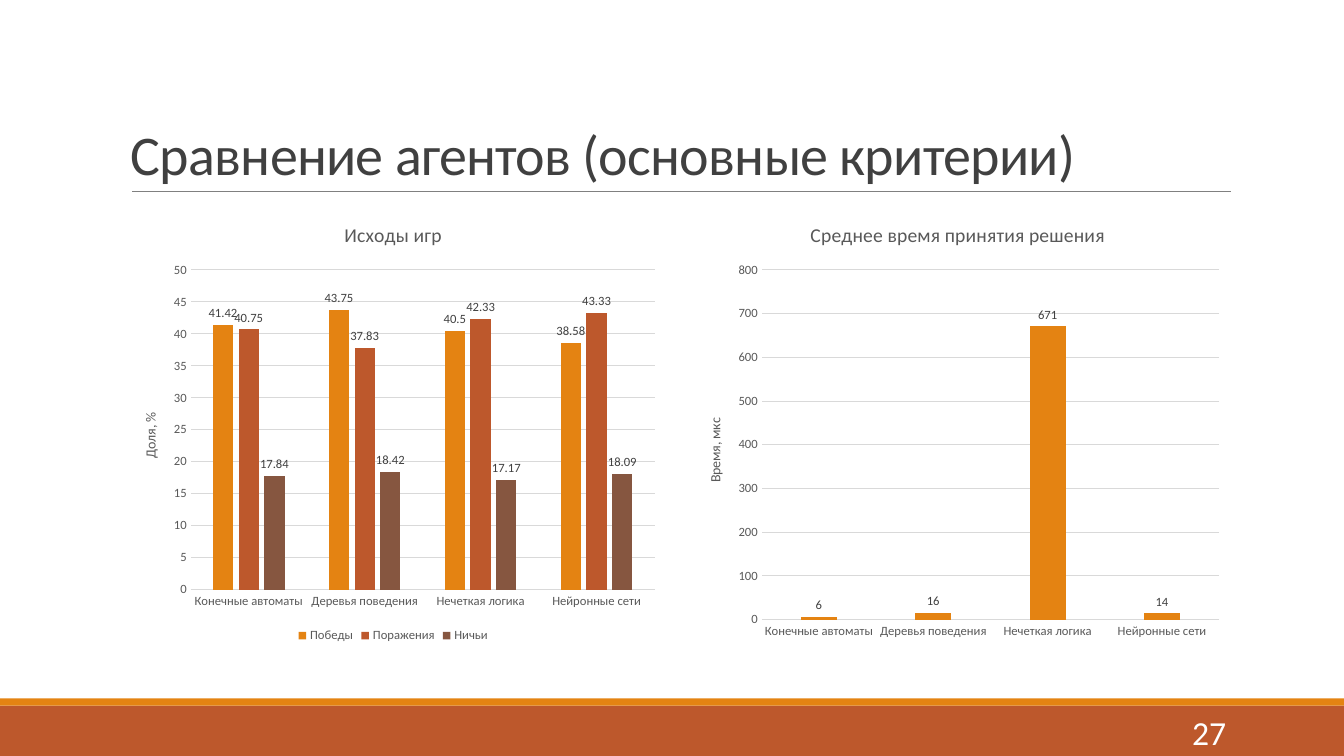
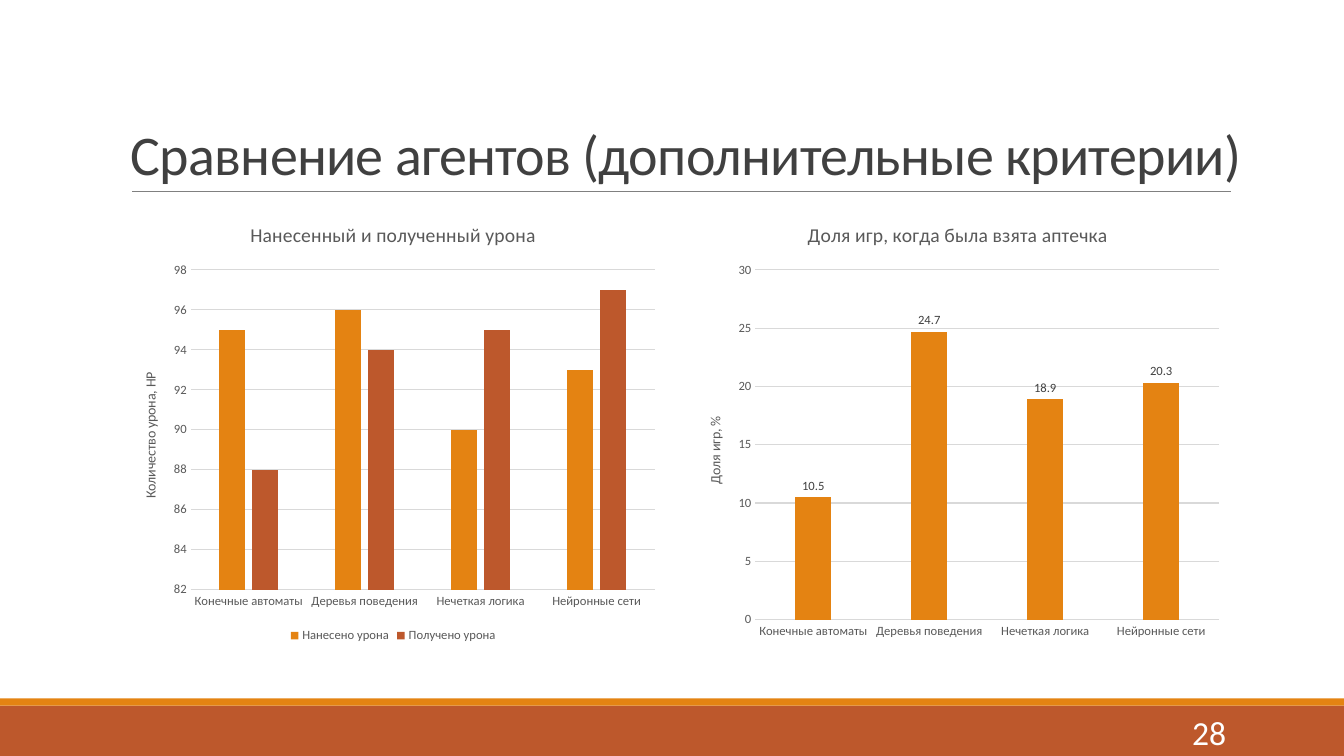
"""Build two slides that compare game agents with column charts."""
from dataclasses import dataclass

from lxml import etree
from pptx import Presentation
from pptx.chart.data import CategoryChartData
from pptx.dml.color import RGBColor
from pptx.enum.chart import (XL_CHART_TYPE, XL_LABEL_POSITION,
                             XL_LEGEND_POSITION, XL_TICK_MARK)
from pptx.enum.shapes import MSO_CONNECTOR, MSO_SHAPE
from pptx.enum.text import MSO_ANCHOR, PP_ALIGN
from pptx.oxml.ns import qn
from pptx.util import Inches, Pt

COLUMN = XL_CHART_TYPE.COLUMN_CLUSTERED
OUTER = XL_LABEL_POSITION.OUTSIDE_END
BELOW = XL_LEGEND_POSITION.BOTTOM
NO_TICK = XL_TICK_MARK.NONE
RECT = MSO_SHAPE.RECTANGLE
STRAIGHT = MSO_CONNECTOR.STRAIGHT
BOTTOM, MIDDLE = MSO_ANCHOR.BOTTOM, MSO_ANCHOR.MIDDLE
LEFT, RIGHT = PP_ALIGN.LEFT, PP_ALIGN.RIGHT

AGENTS = ["Конечные автоматы", "Деревья поведения",
          "Нечеткая логика", "Нейронные сети"]
SLIDES = [
    {"title": "Сравнение агентов (основные критерии)", "width": 11,
     "number": 27,
     "charts": [
         {"title": "Исходы игр", "unit": "Доля, %",
          "scale": (0, 50, 5), "labels": True, "legend": True,
          "series": [("Победы", (41.42, 43.75, 40.5, 38.58)),
                     ("Поражения", (40.75, 37.83, 42.33, 43.33)),
                     ("Ничьи", (17.84, 18.42, 17.17, 18.09))]},
         {"title": "Среднее время принятия решения", "unit": "Время, мкс",
          "scale": (0, 800, 100), "labels": True, "legend": False,
          "series": [("Series 1", (6, 16, 671, 14))]}]},
    {"title": "Сравнение агентов (дополнительные критерии)", "width": 11.3,
     "number": 28,
     "charts": [
         {"title": "Нанесенный и полученный урона",
          "unit": "Количество урона, HP",
          "scale": (82, 98, 2), "labels": False, "legend": True,
          "series": [("Нанесено урона", (95, 96, 90, 93)),
                     ("Получено урона", (88, 94, 95, 97))]},
         {"title": "Доля игр, когда была взята аптечка",
          "unit": "Доля игр, %",
          "scale": (0, 30, 5), "labels": True, "legend": False,
          "series": [("Series 1", (10.5, 24.7, 18.9, 20.3))]}]},
]


@dataclass(frozen=True)
class Theme:
    """Hold the colours, font and type sizes of the deck."""
    font: str = "Calibri"
    fills: tuple = ("E48312", "BD582C", "865640")
    ink: str = "404040"
    soft: str = "595959"
    black: str = "000000"
    white: str = "FFFFFF"
    rule: str = "808080"
    grid: str = "D9D9D9"
    head: int = 40
    page: int = 24
    name: int = 14
    base: int = 10
    small: int = 9


THEME = Theme()
BANDS = [(7, 0.5, THEME.fills[1]), (6.93, 0.07, THEME.fills[0])]
WIDE, HIGH = 13.33, 7.5
EDGE, TOP = 1.2, 2.02
CHART_W, CHART_H, GAP = 5.4, 4.4, 0.2


def rgb(code):
    """Turn a hex code into a colour."""
    return RGBColor.from_string(code)


def style(font, size, color):
    """Set the face, size and colour of a font."""
    font.name, font.size, font.bold = THEME.font, Pt(size), False
    font.color.rgb = rgb(color)


def stroke(line, color, width):
    """Set the colour and width of a line."""
    line.color.rgb = rgb(color)
    line.width = Pt(width)


def add_text(slide, text, box, size, color, anchor, align):
    """Add a one-paragraph text box and return the paragraph."""
    frame = slide.shapes.add_textbox(*map(Inches, box)).text_frame
    frame.word_wrap = True
    frame.vertical_anchor = anchor
    para = frame.paragraphs[0]
    para.text = text
    para.alignment = align
    style(para.font, size, color)
    return para


def add_frame(slide, item):
    """Add the bands, rule, title and page number."""
    for top, height, color in BANDS:
        band = slide.shapes.add_shape(
            RECT, 0, Inches(top), Inches(WIDE), Inches(height))
        band.shadow.inherit = False
        band.fill.solid()
        band.fill.fore_color.rgb = rgb(color)
        band.line.fill.background()
    rule = slide.shapes.add_connector(
        STRAIGHT, *map(Inches, (1.31, 1.9, 12.21, 1.9)))
    stroke(rule.line, THEME.rule, 0.5)
    etree.SubElement(rule._element.spPr, qn("a:effectLst"))
    title = add_text(slide, item["title"], (EDGE, 0.31, item["width"], 1.59),
                     THEME.head, THEME.ink, BOTTOM, LEFT)
    title.line_spacing = 0.85
    title.runs[0]._r.get_or_add_rPr().set("spc", "-50")
    add_text(slide, str(item["number"]), (10.83, 7.06, 1.43, 0.4),
             THEME.page, THEME.white, MIDDLE, RIGHT)


def set_title(owner, text, size):
    """Write a chart or axis title and return its frame."""
    frame = owner.text_frame
    frame.text = text
    style(frame.paragraphs[0].font, size, THEME.soft)
    return frame


def set_axes(chart, item):
    """Style both axes and set the value scale."""
    value, group = chart.value_axis, chart.category_axis
    for axis in (value, group):
        axis.major_tick_mark = NO_TICK
        style(axis.tick_labels.font, THEME.small, THEME.soft)
    stroke(group.format.line, THEME.grid, 0.75)
    value.format.line.fill.background()
    value.has_major_gridlines = True
    stroke(value.major_gridlines.format.line, THEME.grid, 0.75)
    value.minimum_scale, value.maximum_scale, value.major_unit = item["scale"]
    frame = set_title(value.axis_title, item["unit"], THEME.base)
    frame._txBody.bodyPr.set("rot", "-5400000")
    frame._txBody.bodyPr.set("vert", "horz")


def add_chart(slide, item, left):
    """Add one column chart."""
    data = CategoryChartData()
    data.categories = AGENTS
    for name, values in item["series"]:
        data.add_series(name, values)
    box = map(Inches, (left, TOP, CHART_W, CHART_H))
    chart = slide.shapes.add_chart(COLUMN, *box, data).chart
    style(chart.font, THEME.base, THEME.black)
    chart.has_title = True
    set_title(chart.chart_title, item["title"], THEME.name)
    set_axes(chart, item)
    plot = chart.plots[0]
    plot.gap_width, plot.overlap = 219, -27
    plot.vary_by_categories = False
    for series, color in zip(plot.series, THEME.fills):
        series.format.fill.solid()
        series.format.fill.fore_color.rgb = rgb(color)
    if item["labels"]:
        plot.has_data_labels = True
        labels = plot.data_labels
        labels.show_value = True
        labels.position = OUTER
        style(labels.font, THEME.small, THEME.ink)
    chart.has_legend = item["legend"]
    if item["legend"]:
        chart.legend.position = BELOW
        chart.legend.include_in_layout = False
        style(chart.legend.font, THEME.small, THEME.soft)


def main():
    """Build and save the deck."""
    deck = Presentation()
    deck.slide_width, deck.slide_height = Inches(WIDE), Inches(HIGH)
    blank = deck.slide_layouts[6]
    for item in SLIDES:
        slide = deck.slides.add_slide(blank)
        add_frame(slide, item)
        for col, chart in enumerate(item["charts"]):
            add_chart(slide, chart, EDGE + col * (CHART_W + GAP))
    deck.save("out.pptx")


if __name__ == "__main__":
    main()
